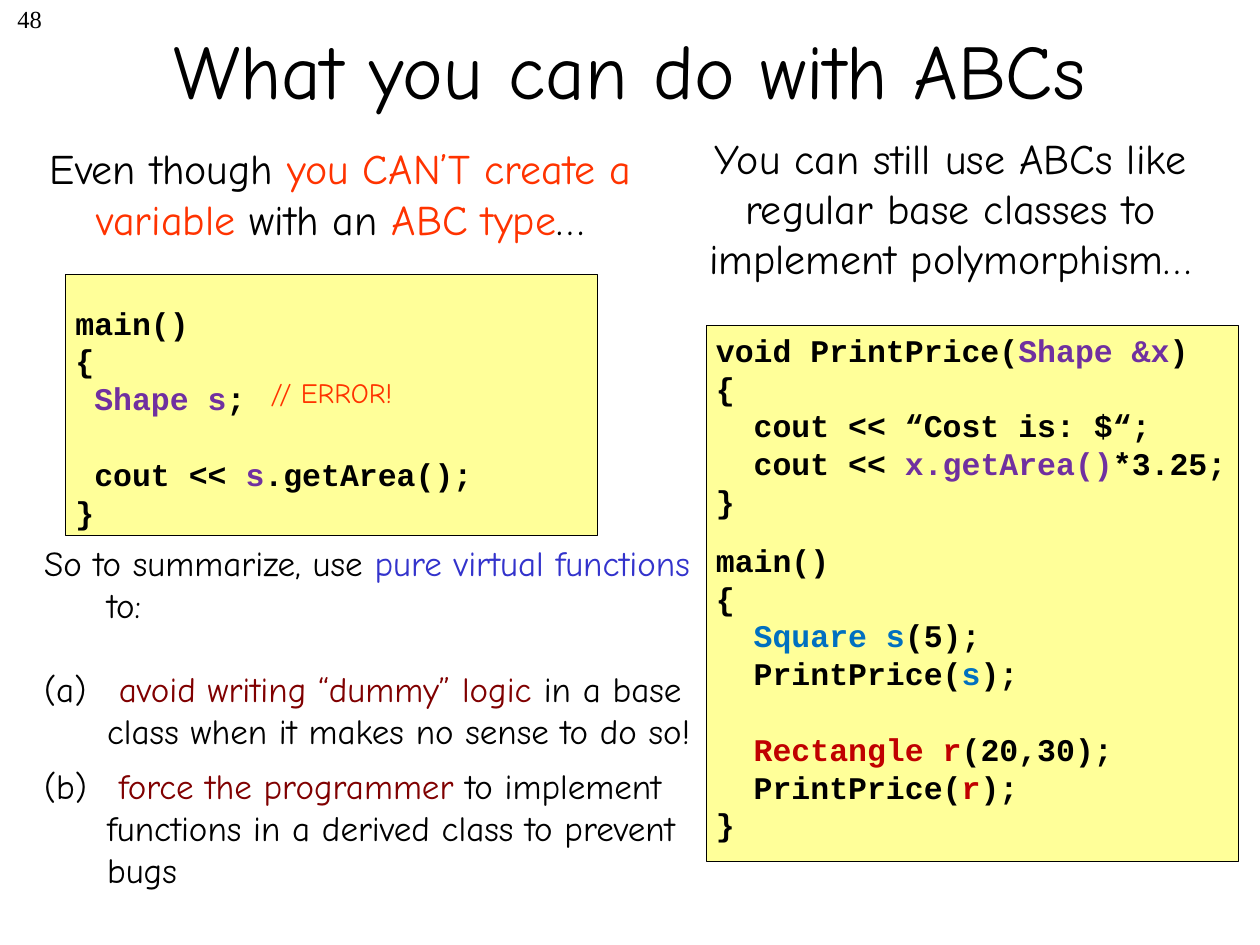
from dataclasses import dataclass

import pptx
import pptx.dml.color
import pptx.enum.shapes
import pptx.enum.text
import pptx.util
from pptx.oxml.ns import qn

Pt = pptx.util.Pt
Align = pptx.enum.text.PP_ALIGN


@dataclass(frozen=True)
class Theme:
    text_font: str = "Comic Neue"
    code_font: str = "Courier New"
    number_font: str = "Times New Roman"
    title_size: float = 44
    heading_size: float = 24
    list_size: float = 20
    code_size: float = 18
    comment_size: float = 16
    number_size: float = 14
    line_factor: float = 1.2
    black: str = "000000"
    panel: str = "FFFF99"
    warning: str = "FF3300"
    term: str = "3333CC"
    reason: str = "800000"
    abstract: str = "7030A0"
    square: str = "0070C0"
    rectangle: str = "C00000"


THEME = Theme()
SMALL_GAP = 12
LINE_GAP = THEME.code_size * THEME.line_factor

# Each code line is (space before, runs); a run is a string or (string, colour).
ERROR_CODE = [
    (0, ["main()"]),
    (0, ["{"]),
    (0, [" ", ("Shape s", THEME.abstract), ";"]),
    (LINE_GAP, [" cout << ", ("s", THEME.abstract), ".getArea();"]),
    (0, ["}"]),
]
POLYMORPHISM_CODE = [
    (0, ["void PrintPrice(", ("Shape &x", THEME.abstract), ")"]),
    (0, ["{"]),
    (0, ["  cout << “Cost is: $“;"]),
    (0, ["  cout << ", ("x.getArea()", THEME.abstract), "*3.25;"]),
    (0, ["}"]),
    (SMALL_GAP, ["main()"]),
    (0, ["{"]),
    (0, ["  ", ("Square s", THEME.square), "(5);"]),
    (0, ["  PrintPrice(", ("s", THEME.square), ");"]),
    (LINE_GAP, ["  ", ("Rectangle r", THEME.rectangle), "(20,30);"]),
    (0, ["  PrintPrice(", ("r", THEME.rectangle), ");"]),
    (0, ["}"]),
]
SUMMARY = [
    (0, ["So to summarize, use ", ("pure virtual functions", THEME.term), " to:"]),
    (24, [" ", ("avoid writing “dummy” logic", THEME.reason),
          " in a base class when it makes no sense to do so!"]),
    (7, [" ", ("force the programmer", THEME.reason),
         " to implement functions in a derived class to prevent bugs"]),
]


def rgb(value):
    return pptx.dml.color.RGBColor.from_string(value)


def write_paragraph(paragraph, runs, size, font=THEME.text_font, align=Align.LEFT,
                    color=THEME.black, bold=False, before=0):
    paragraph.alignment = align
    paragraph.line_spacing = Pt(size * THEME.line_factor)
    paragraph.space_before = Pt(before)
    paragraph.font.name = font
    paragraph.font.size = Pt(size)
    paragraph.font.bold = bold
    paragraph.font.color.rgb = rgb(color)
    for item in runs:
        text, run_color = (item, None) if isinstance(item, str) else item
        run = paragraph.add_run()
        run.text = text
        if run_color:
            run.font.color.rgb = rgb(run_color)


def write_lines(frame, lines, **style):
    for index, (before, runs) in enumerate(lines):
        paragraph = frame.add_paragraph() if index else frame.paragraphs[0]
        write_paragraph(paragraph, runs, before=before, **style)


def place(shape, box):
    shape.left, shape.top, shape.width, shape.height = map(Pt, box)


def add_label(shapes, box, runs, size, wrap=True, **style):
    frame = shapes.add_textbox(*map(Pt, box)).text_frame
    frame.word_wrap = wrap
    write_paragraph(frame.paragraphs[0], runs, size, **style)


def add_code_panel(slide, panel_box, text_box, lines):
    """Group a filled panel with code text that may run slightly past it."""
    shapes = slide.shapes.add_group_shape().shapes
    panel = shapes.add_shape(pptx.enum.shapes.MSO_SHAPE.RECTANGLE, *map(Pt, panel_box))
    panel.shadow.inherit = False
    panel.fill.solid()
    panel.fill.fore_color.rgb = rgb(THEME.panel)
    panel.line.color.rgb = rgb(THEME.black)
    panel.line.width = Pt(0.25)
    frame = shapes.add_textbox(*map(Pt, text_box)).text_frame
    frame.word_wrap = True
    write_lines(frame, lines, size=THEME.code_size, font=THEME.code_font, bold=True)


def set_hanging_bullet(paragraph, numbered):
    properties = paragraph._p.get_or_add_pPr()
    properties.set("marL", str(Pt(36)))
    properties.set("indent", str(-Pt(36)))
    if numbered:
        bullet = properties.makeelement(qn("a:buAutoNum"), {"type": "alphaLcParenBoth"})
    else:
        bullet = properties.makeelement(qn("a:buNone"), {})
    properties.append(bullet)


def fill_title(title, box, text):
    place(title, box)
    frame = title.text_frame
    frame.word_wrap = True
    frame.vertical_anchor = pptx.enum.text.MSO_ANCHOR.MIDDLE
    write_paragraph(frame.paragraphs[0], [text], THEME.title_size, align=Align.CENTER)


def fill_summary(body, box):
    place(body, box)
    frame = body.text_frame
    frame.word_wrap = True
    frame.auto_size = pptx.enum.text.MSO_AUTO_SIZE.NONE
    for index, (before, runs) in enumerate(SUMMARY):
        paragraph = frame.add_paragraph() if index else frame.paragraphs[0]
        set_hanging_bullet(paragraph, numbered=index > 0)
        write_paragraph(paragraph, runs, THEME.list_size, before=before)


def main():
    presentation = pptx.Presentation()
    presentation.slide_width, presentation.slide_height = Pt(720), Pt(540)
    slide = presentation.slides.add_slide(presentation.slide_layouts[1])
    shapes = slide.shapes

    fill_title(shapes.title, (54, -6, 612, 90), "What you can do with ABCs")
    fill_summary(slide.placeholders[1], (18, 306, 389, 234))
    add_label(shapes, (0, -1.5, 31, 36), ["48"], THEME.number_size,
              font=THEME.number_font, align=Align.RIGHT)

    add_label(shapes, (12, 78, 365, 65.5),
              ["Even though ", ("you CAN’T create a variable", THEME.warning),
               " with an ", ("ABC type", THEME.warning), "…"],
              THEME.heading_size, align=Align.CENTER)
    add_code_panel(slide, (37.5, 157, 304, 149), (36, 170, 312.5, 135), ERROR_CODE)
    add_label(shapes, (147.5, 211, 93, 26.5), ["// ERROR!"], THEME.comment_size,
              wrap=False, color=THEME.warning)

    add_label(shapes, (366, 72, 354, 93.5),
              ["You can still use ABCs like regular base classes "
               "to implement polymorphism…"],
              THEME.heading_size, align=Align.CENTER)
    add_code_panel(slide, (403.5, 186, 304, 306), (402, 185.5, 312.5, 298),
                   POLYMORPHISM_CODE)

    presentation.save("out.pptx")


if __name__ == "__main__":
    main()
